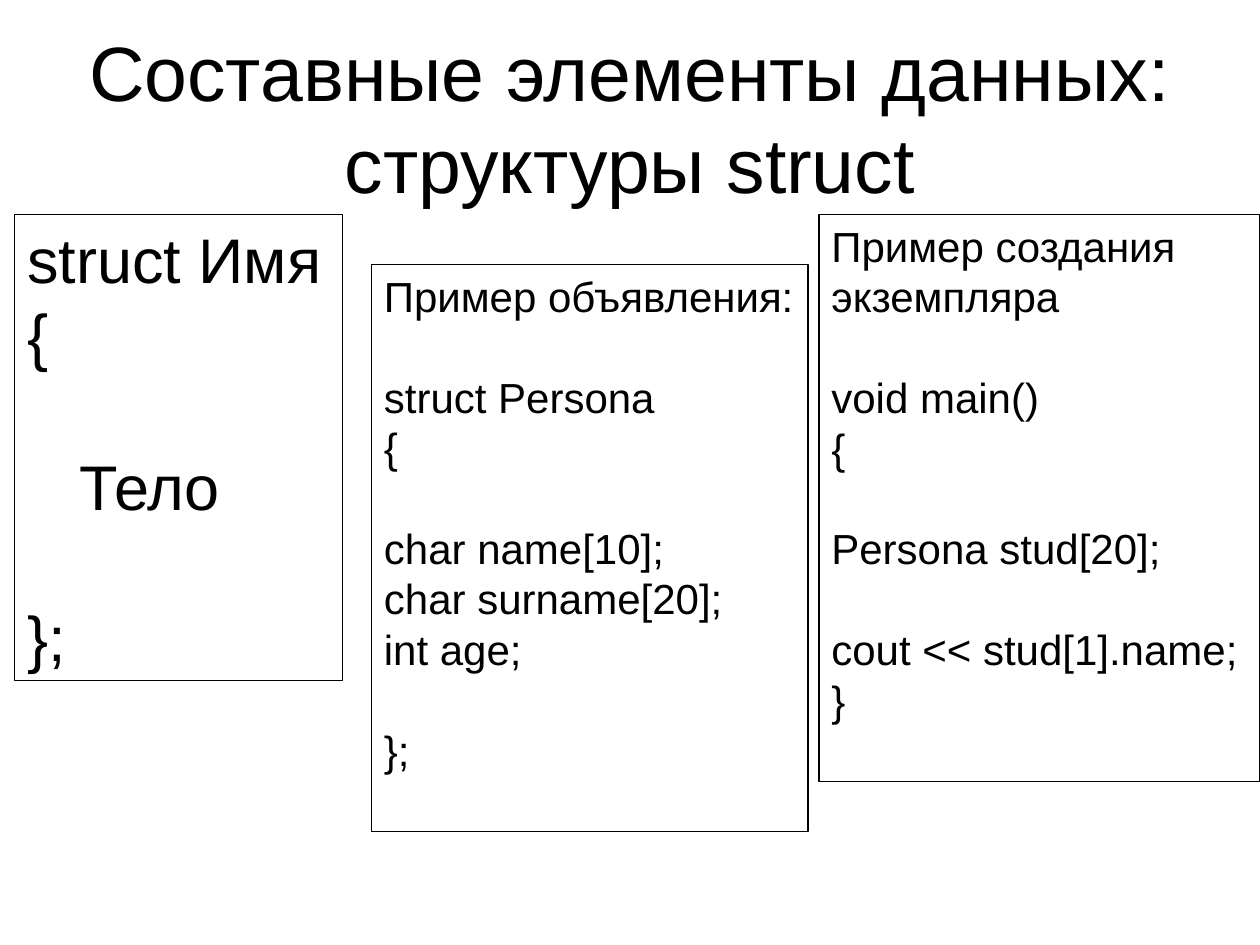
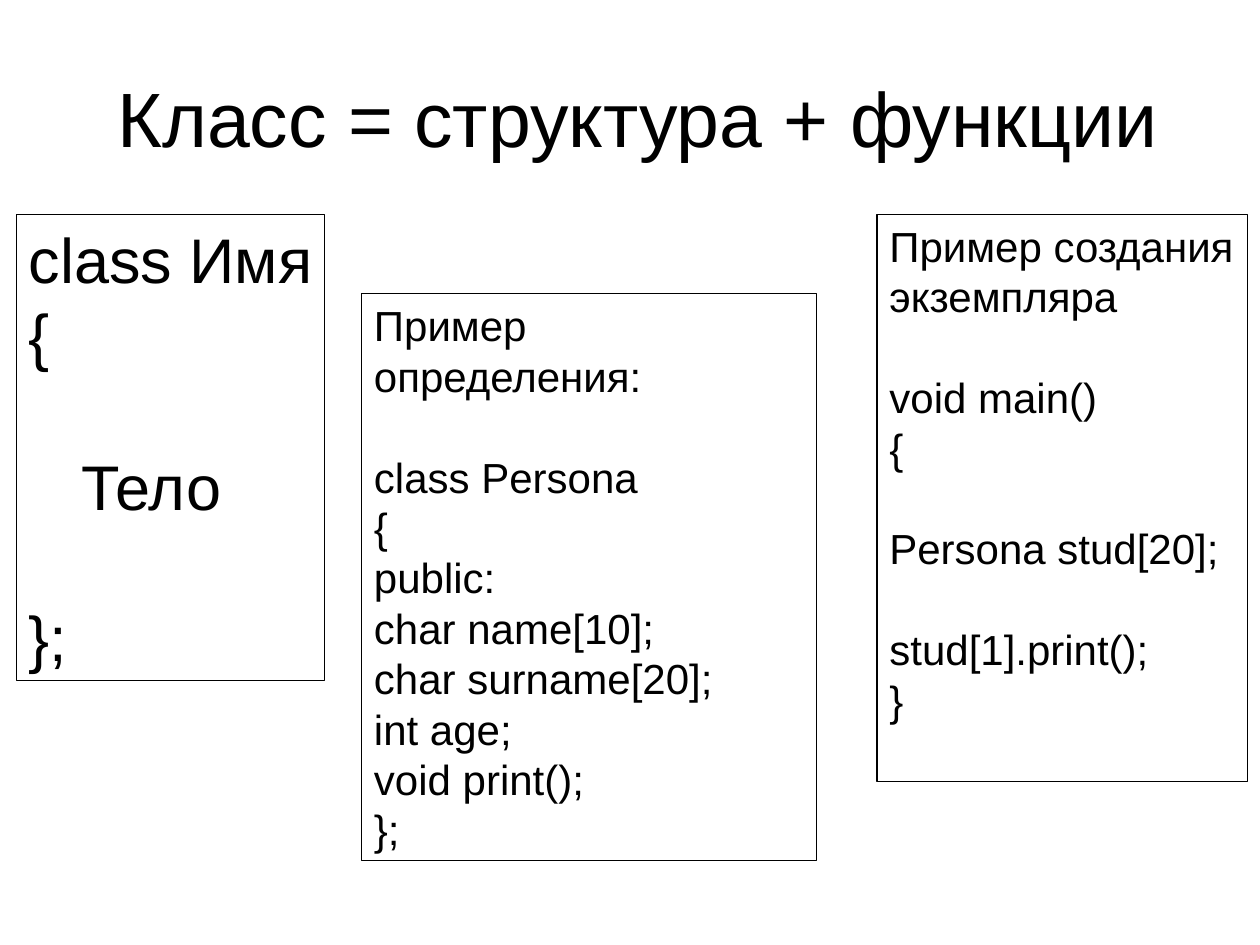
from pptx import Presentation
from pptx.dml.color import RGBColor
from pptx.enum.shapes import MSO_SHAPE
from pptx.enum.text import MSO_ANCHOR, PP_ALIGN
from pptx.util import Cm, Pt

BLACK = RGBColor(0, 0, 0)
FONT = "Arial"
LINE_RATIO = 1.2
TITLE_SIZE, SYNTAX_SIZE, EXAMPLE_SIZE = 44, 36, 24


def format_paragraph(paragraph, size, align=PP_ALIGN.LEFT):
    paragraph.alignment = align
    paragraph.line_spacing = Pt(size * LINE_RATIO)
    for run in paragraph.runs:
        run.font.name = FONT
        run.font.size = Pt(size)
        run.font.color.rgb = BLACK


def add_code_panel(slide, left, top, width, height, size, wrap, code):
    panel = slide.shapes.add_shape(
        MSO_SHAPE.RECTANGLE, Cm(left), Cm(top), Cm(width), Cm(height))
    panel.shadow.inherit = False
    panel.fill.background()
    panel.line.color.rgb = BLACK
    panel.line.width = Pt(0.75)
    frame = panel.text_frame
    frame.word_wrap = wrap
    frame.vertical_anchor = MSO_ANCHOR.TOP
    groups = [group.split("\n") for group in code.split("\n\n")]
    frame.text = "\n".join(line for group in groups for line in group)
    paragraphs = iter(frame.paragraphs)
    for group_number, group in enumerate(groups):
        for line_number, _ in enumerate(group):
            paragraph = next(paragraphs)
            format_paragraph(paragraph, size)
            if group_number and line_number == 0:
                paragraph.space_before = Pt(size * LINE_RATIO)


SYNTAX = "{keyword} Имя\n{{\n\n   Тело\n\n}};"
FIELDS = "char name[10];\nchar surname[20];\nint age;"
INSTANCE = ("Пример создания\nэкземпляра\n\nvoid main()\n{{\n\n"
            "Persona stud[20];\n\n{statement}\n}}")
PANEL_TOP, SYNTAX_HEIGHT, EXAMPLE_HEIGHT = 4.32, 9.4, 11.43

topics = [
    {
        "title": "Составные элементы данных:\nструктуры struct",
        "title_width": 22.86,
        "keyword": "struct",
        "syntax": (0.3, 6.6, True),
        "declaration": (7.49, 5.33, 8.8),
        "declaration_code": "Пример объявления:\n\nstruct Persona\n{\n\n"
                            + FIELDS + "\n\n};",
        "instance": (16.51, 8.89, True),
        "statement": "cout << stud[1].name;",
    },
    {
        "title": "Класс = структура + функции ",
        "title_width": 23.62,
        "keyword": "class",
        "syntax": (0.33, 6.22, False),
        "declaration": (7.29, 5.92, 9.17),
        "declaration_code": "Пример определения:\n\nclass Persona\n{\npublic:\n"
                            + FIELDS + "\nvoid print();\n};",
        "instance": (17.68, 7.47, False),
        "statement": "stud[1].print();",
    },
]

presentation = Presentation()
presentation.slide_width = Cm(25.4)
presentation.slide_height = Cm(19.05)

for topic in topics:
    slide = presentation.slides.add_slide(presentation.slide_layouts[6])

    title = slide.shapes.add_textbox(
        Cm(1.27), Cm(0.76), Cm(topic["title_width"]), Cm(3.18)).text_frame
    title.word_wrap = True
    title.vertical_anchor = MSO_ANCHOR.MIDDLE
    heading = title.paragraphs[0]
    heading.text = topic["title"]
    format_paragraph(heading, TITLE_SIZE, PP_ALIGN.CENTER)

    left, width, wrap = topic["syntax"]
    add_code_panel(slide, left, PANEL_TOP, width, SYNTAX_HEIGHT, SYNTAX_SIZE,
                   wrap, SYNTAX.format(keyword=topic["keyword"]))

    left, top, width = topic["declaration"]
    add_code_panel(slide, left, top, width, EXAMPLE_HEIGHT, EXAMPLE_SIZE,
                   True, topic["declaration_code"])

    left, width, wrap = topic["instance"]
    add_code_panel(slide, left, PANEL_TOP, width, EXAMPLE_HEIGHT, EXAMPLE_SIZE,
                   wrap, INSTANCE.format(statement=topic["statement"]))

presentation.save("out.pptx")
